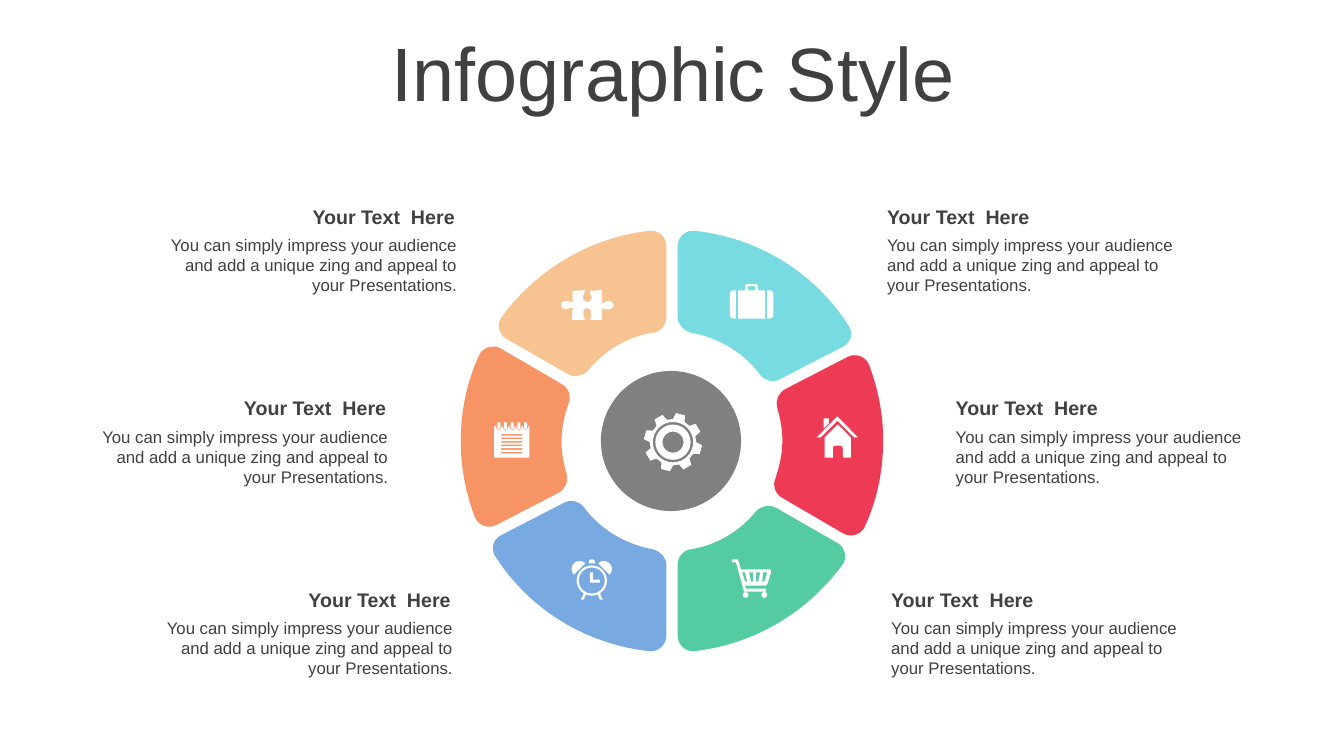
from math import ceil, cos, radians, sin, tan

from pptx import Presentation
from pptx.dml.color import RGBColor
from pptx.enum.shapes import MSO_SHAPE
from pptx.enum.text import MSO_ANCHOR, PP_ALIGN
from pptx.oxml.ns import qn
from pptx.util import Inches, Pt

OVAL = MSO_SHAPE.OVAL
LEFT, CENTER, RIGHT = PP_ALIGN.LEFT, PP_ALIGN.CENTER, PP_ALIGN.RIGHT
TOP, MIDDLE = MSO_ANCHOR.TOP, MSO_ANCHOR.MIDDLE

THEME = {
    "font": "Arial", "text": "404040", "icon": "FFFFFF", "hub": "808080",
    "teal": "77DBE1", "sand": "F7C391", "red": "ED3B55",
    "orange": "F79465", "green": "54CBA0", "blue": "78AAE1",
    "title": 54, "heading": 14, "body": 12,
}

TITLE = "Infographic Style"
HEADING = "Your Text  Here"
BODY = ("You can simply impress your audience and add a unique zing "
        "and appeal to your Presentations.")
# left edge, top edge, alignment of each caption
CAPTIONS = [
    (1.54, 1.98, RIGHT), (8.7, 1.98, LEFT),
    (0.86, 3.88, RIGHT), (9.38, 3.88, LEFT),
    (1.5, 5.78, RIGHT), (8.74, 5.78, LEFT),
]

WHEEL = (6.665, 4.375)
# Outline steps: two numbers are a corner, six are a Bezier curve.
# Each sector also appears turned half way round the wheel in the second colour.
SECTORS = [
    ("teal", "blue", [
        (7.74, 3.76), (8.36, 3.44), (8.44, 3.4, 8.47, 3.3, 8.41, 3.22),
        (8.08, 2.71, 7.53, 2.36, 6.89, 2.29), (6.8, 2.28, 6.72, 2.35, 6.72, 2.45),
        (6.72, 3.14), (6.72, 3.22, 6.78, 3.28, 6.85, 3.3),
        (7.13, 3.35, 7.38, 3.5, 7.54, 3.72), (7.59, 3.78, 7.67, 3.8, 7.74, 3.76)]),
    ("sand", "green", [
        (6.61, 3.14), (6.61, 2.45), (6.61, 2.35, 6.53, 2.28, 6.44, 2.29),
        (5.84, 2.36, 5.32, 2.68, 4.98, 3.14), (4.92, 3.21, 4.95, 3.32, 5.02, 3.36),
        (5.63, 3.71), (5.69, 3.75, 5.78, 3.73, 5.83, 3.68),
        (5.99, 3.48, 6.22, 3.34, 6.48, 3.3), (6.56, 3.29, 6.61, 3.22, 6.61, 3.14)]),
    ("red", "orange", [
        (7.76, 4.37), (7.76, 4.51, 7.73, 4.63, 7.69, 4.75),
        (7.66, 4.82, 7.69, 4.9, 7.76, 4.94), (8.36, 5.29),
        (8.44, 5.34, 8.55, 5.3, 8.58, 5.22), (8.7, 4.96, 8.76, 4.67, 8.76, 4.37),
        (8.76, 4.11, 8.71, 3.86, 8.62, 3.62), (8.59, 3.54, 8.49, 3.5, 8.41, 3.54),
        (7.79, 3.86), (7.72, 3.9, 7.69, 3.97, 7.71, 4.05),
        (7.74, 4.15, 7.76, 4.26, 7.76, 4.37)]),
]

PUZZLE = [
    (6.01, 2.84), (6.02, 2.86, 6.02, 2.89, 6.01, 2.9),
    (5.99, 2.93, 5.97, 2.92, 5.95, 2.95), (6.03, 3.03), (5.95, 3.11),
    (5.92, 3.09, 5.93, 3.07, 5.9, 3.05), (5.88, 3.03, 5.86, 3.04, 5.84, 3.05),
    (5.83, 3.06, 5.82, 3.09, 5.85, 3.11), (5.87, 3.14, 5.88, 3.12, 5.91, 3.15),
    (5.82, 3.24), (5.74, 3.15), (5.71, 3.18, 5.72, 3.18, 5.7, 3.21),
    (5.68, 3.23, 5.65, 3.23, 5.64, 3.21), (5.62, 3.2, 5.62, 3.17, 5.64, 3.15),
    (5.65, 3.13, 5.68, 3.14, 5.7, 3.11), (5.62, 3.03), (5.7, 2.94),
    (5.73, 2.97, 5.72, 2.99, 5.74, 3.01), (5.76, 3.02, 5.79, 3.02, 5.8, 3.01),
    (5.82, 2.99, 5.82, 2.96, 5.8, 2.94), (5.77, 2.92, 5.77, 2.94, 5.74, 2.91),
    (5.82, 2.82), (5.91, 2.91), (5.94, 2.88, 5.92, 2.87, 5.94, 2.85),
    (5.96, 2.83, 5.99, 2.83, 6.01, 2.84)]


def polar(center, radius, angle):
    return (center[0] + radius * cos(radians(angle)),
            center[1] + radius * sin(radians(angle)))


def arc(x, y, radius, start=0, end=360):
    """Steps along a circle, one Bezier curve for each quarter turn or less."""
    count = ceil(abs(end - start) / 90)
    sweep = (end - start) / count
    reach = radius * 4 / 3 * tan(radians(sweep / 4))
    steps = [polar((x, y), radius, start)]
    for i in range(count):
        a, b = start + i * sweep, start + (i + 1) * sweep
        first, last = polar((x, y), radius, a), polar((x, y), radius, b)
        steps.append(polar(first, reach, a + 90) + polar(last, reach, b - 90) + last)
    return steps


def box(left, top, right, bottom, tl=0, tr=0, br=0, bl=0):
    """Rectangle with a separate radius for each corner."""
    corners = [(left + tl, top + tl, tl, 180), (right - tr, top + tr, tr, 270),
               (right - br, bottom - br, br, 0), (left + bl, bottom - bl, bl, 90)]
    steps = []
    for x, y, radius, angle in corners:
        steps += arc(x, y, radius, angle, angle + 90) if radius else [(x, y)]
    return steps


def clock():
    hands = [(5.85, 5.68), (5.88, 5.68), (5.88, 5.75),
             (5.95, 5.75), (5.95, 5.78), (5.85, 5.78)]
    leg = [(5.95, 5.89), (5.98, 5.95), (5.95, 5.95), (5.93, 5.9)]
    return [arc(5.87, 5.76, 0.15), arc(5.87, 5.76, 0.13), hands,
            leg, [(2 * 5.87 - x, y) for x, y in leg],
            arc(5.75, 5.645, 0.08, 135, 315), arc(5.99, 5.645, 0.08, 225, 405),
            box(5.84, 5.55, 5.9, 5.59, tl=0.02, tr=0.02)]


def notepad():
    rings = [4.947 + 0.0665 * i for i in range(5)]
    page = [(4.9, 4.54), (4.9, 4.23)]
    for x in rings:
        page += [(x - 0.025, 4.23)] + arc(x, 4.245, 0.025, 180, 0) + [(x + 0.025, 4.23)]
    page += [(5.25, 4.23), (5.25, 4.54)]
    rules = [box(4.97, y, 5.18, y + 0.015) for y in (4.307 + 0.035 * i for i in range(6))]
    return [page] + rules + [box(x - 0.015, 4.19, x + 0.015, 4.26) for x in rings]


def cart():
    frame = [(7.26, 5.55), (7.32, 5.55), (7.35, 5.65), (7.64, 5.65), (7.65, 5.67),
             (7.61, 5.8), (7.59, 5.81), (7.39, 5.81), (7.4, 5.84), (7.6, 5.84),
             (7.6, 5.87), (7.38, 5.87), (7.3, 5.58), (7.26, 5.58)]
    gaps = [[(a, 5.68), (b, 5.68), (c, 5.77), (d, 5.77)] for a, b, c, d in (
        (7.36, 7.39, 7.41, 7.39), (7.43, 7.47, 7.47, 7.45),
        (7.5, 7.54, 7.52, 7.5), (7.57, 7.61, 7.58, 7.56))]
    return [frame] + gaps + [arc(x, 5.902, 0.03) for x in (7.395, 7.58)]


def house():
    walls = [(8.31, 4.21), (8.44, 4.34), (8.44, 4.54), (8.36, 4.54), (8.36, 4.45),
             (8.36, 4.43, 8.35, 4.42, 8.33, 4.42), (8.28, 4.42),
             (8.27, 4.42, 8.26, 4.43, 8.26, 4.45), (8.26, 4.54),
             (8.18, 4.54), (8.18, 4.34)]
    chimney = [(8.17, 4.15), (8.22, 4.15), (8.22, 4.2), (8.17, 4.25)]
    roof = [(8.305, 4.13), (8.51, 4.34), (8.47, 4.34),
            (8.305, 4.175), (8.14, 4.34), (8.1, 4.34)]
    return [walls, chimney, roof]


def suitcase():
    body = ([(7.32, 3.16), (7.32, 2.88), (7.39, 2.88)]
            + box(7.39, 2.82, 7.52, 2.88, tl=0.02, tr=0.02)[:-1]
            + [(7.59, 2.88), (7.59, 3.16)])
    return [body, box(7.42, 2.84, 7.49, 2.88),
            box(7.24, 2.88, 7.3, 3.16, tl=0.03, bl=0.03),
            box(7.61, 2.88, 7.67, 3.16, tr=0.03, br=0.03)]


def gear():
    center = (6.675, 4.387)
    tooth = [(0.23, -90), (0.29, -84), (0.29, -66), (0.23, -60)]
    rim = [polar(center, radius, angle + 45 * i) for i in range(8) for radius, angle in tooth]
    return [rim] + [arc(*center, radius) for radius in (0.2, 0.175, 0.105)]


def half_turn(steps):
    return [tuple(2 * WHEEL[i % 2] - value for i, value in enumerate(step)) for step in steps]


def paint(shape, color):
    shape.shadow.inherit = False
    shape.fill.solid()
    shape.fill.fore_color.rgb = RGBColor.from_string(THEME[color])
    shape.line.fill.background()


def draw(slide, contours, color, rotation=0):
    """Draw one outline; contours inside others become holes."""
    builder = None
    for contour in contours:
        points = [(Inches(step[i]), Inches(step[i + 1]))
                  for step in contour for i in range(0, len(step), 2)]
        if builder is None:
            builder = slide.shapes.build_freeform(*points[0], scale=1.0)
        else:
            builder.move_to(*points[0])
        builder.add_line_segments(points[1:], close=True)
    shape = builder.convert_to_shape()
    # Each curve was laid down as three line segments: join them into one.
    segments = iter(list(shape.element.iter(qn("a:lnTo"))))
    for step in (step for contour in contours for step in contour[1:]):
        curve = next(segments)
        if len(step) == 6:
            curve.tag = qn("a:cubicBezTo")
            for extra in (next(segments), next(segments)):
                curve.append(extra[0])
                extra.getparent().remove(extra)
    paint(shape, color)
    shape.rotation = rotation


def add_text(slide, text, area, size, align=LEFT, bold=False, anchor=TOP, spacing=1.0):
    frame = slide.shapes.add_textbox(*map(Inches, area)).text_frame
    frame.word_wrap = True
    frame.vertical_anchor = anchor
    paragraph = frame.paragraphs[0]
    paragraph.text = text
    paragraph.alignment = align
    paragraph.line_spacing = spacing
    font = paragraph.runs[0].font
    font.name, font.size, font.bold = THEME["font"], Pt(THEME[size]), bold
    font.color.rgb = RGBColor.from_string(THEME["text"])


deck = Presentation()
deck.slide_width, deck.slide_height = Inches(13.33), Inches(7.5)
slide = deck.slides.add_slide(deck.slide_layouts[6])
add_text(slide, TITLE, (0.35, 0.37, 12.66, 0.79), "title",
         align=CENTER, anchor=MIDDLE, spacing=0.9)
for color, opposite, sector in SECTORS:
    draw(slide, [sector], color)
    draw(slide, [half_turn(sector)], opposite)
for left, top, align in CAPTIONS:
    add_text(slide, BODY, (left, top + 0.3, 3.09, 0.71), "body", align=align)
    add_text(slide, HEADING, (left, top, 3.07, 0.34), "heading", align=align, bold=True)
for icon in (clock, notepad, cart, house, suitcase):
    draw(slide, icon(), "icon")
draw(slide, [PUZZLE], "icon", rotation=45)
hub = slide.shapes.add_shape(OVAL, *map(Inches, (5.96, 3.68, 1.39, 1.39)))
paint(hub, "hub")
draw(slide, gear(), "icon")
deck.save("out.pptx")
